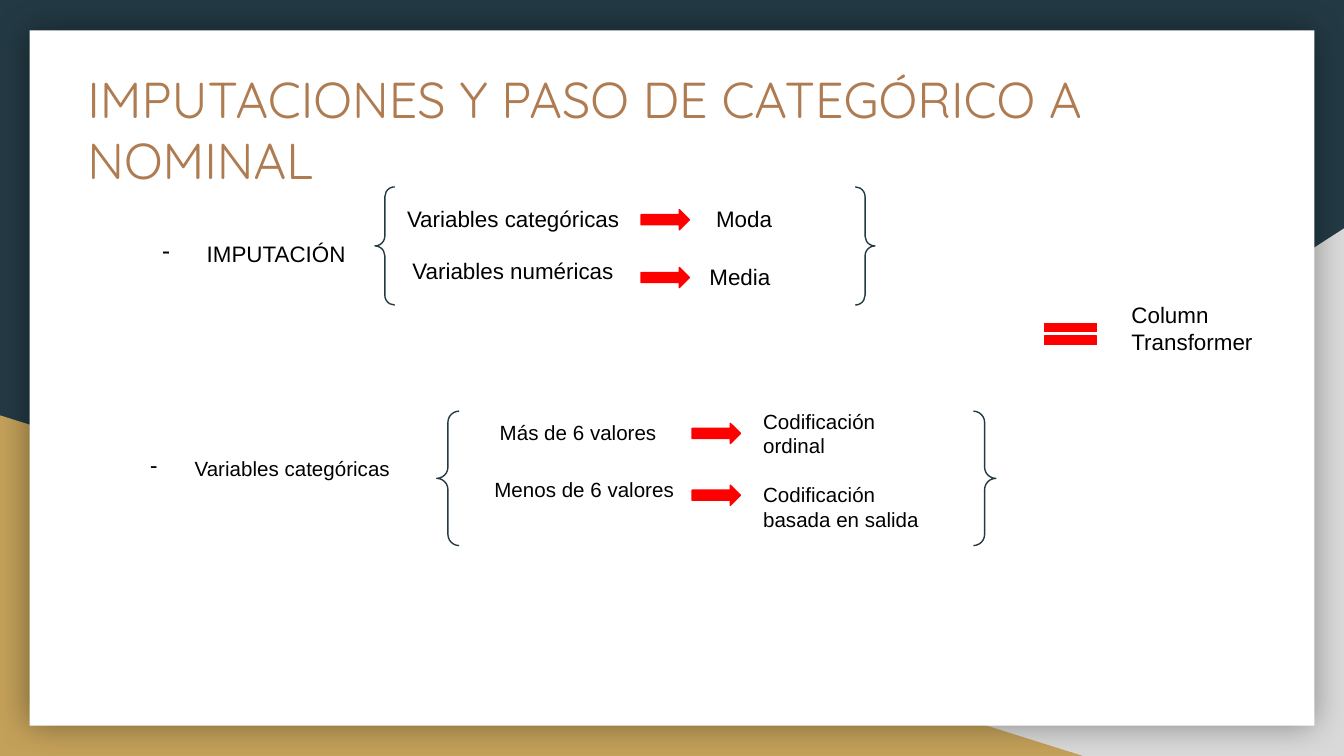
import pptx
import pptx.util
import pptx.dml.color
import pptx.enum.shapes
import pptx.enum.text
import pptx.oxml
import pptx.oxml.ns

SHAPE = pptx.enum.shapes.MSO_SHAPE
COLORS = {
    "navy": "233A44",
    "gold": "C4A15A",
    "grey": "D9D9D9",
    "white": "FFFFFF",
    "title": "AF7B51",
    "text": "000000",
    "red": "FF0000",
}
COLUMNS = 100
WIDTH = pptx.util.Inches(10)
HEIGHT = pptx.util.Inches(5.625)
UNIT = WIDTH // COLUMNS
SHADOW = """<a:effectLst %s><a:outerShdw blurRad="228600" dist="0" algn="ctr">
<a:srgbClr val="%s"><a:alpha val="40000"/></a:srgbClr></a:outerShdw></a:effectLst>"""


def rgb(name):
    return pptx.dml.color.RGBColor.from_string(COLORS[name])


def grid(*cells):
    return [round(cell * UNIT) for cell in cells]


def add_shape(slide, kind, box, fill=None, line=None):
    sp = slide.shapes.add_shape(kind, *grid(*box))
    sp.shadow.inherit = False
    if fill:
        sp.fill.solid()
        sp.fill.fore_color.rgb = rgb(fill)
    else:
        sp.fill.background()
    if line:
        sp.line.color.rgb = rgb(line)
        sp.line.width = pptx.util.Pt(0.75)
    else:
        sp.line.fill.background()
    return sp


def format_text(sp, text, size, font, color):
    tf = sp.text_frame
    tf.text = text
    tf.word_wrap = True
    tf.vertical_anchor = pptx.enum.text.MSO_ANCHOR.TOP
    tf.margin_left = tf.margin_right = tf.margin_top = tf.margin_bottom = UNIT
    p = tf.paragraphs[0]
    p.alignment = pptx.enum.text.PP_ALIGN.LEFT
    r = p.runs[0]
    r.font.size = pptx.util.Pt(size)
    r.font.name = font
    r.font.color.rgb = rgb(color)
    return p


def add_label(slide, text, size, box):
    sp = slide.shapes.add_textbox(*grid(*box))
    return format_text(sp, text, size, "Arial", "text")


def add_dash_label(slide, text, size, box):
    p = add_label(slide, text, size, box)
    pPr = p._p.get_or_add_pPr()
    margin, indent = grid(5, -3.3)
    pPr.set("marL", str(margin))
    pPr.set("indent", str(indent))
    bullet = pptx.oxml.parse_xml('<a:buChar %s char="-"/>' % pptx.oxml.ns.nsdecls("a"))
    pPr.append(bullet)


def add_arrow(slide, left, top):
    add_shape(slide, SHAPE.RIGHT_ARROW, (left, top, 3.6, 1.5), "red", "red")


def add_background(slide):
    slide.background.fill.solid()
    slide.background.fill.fore_color.rgb = rgb("navy")
    sp = add_shape(slide, SHAPE.RIGHT_TRIANGLE, (39.2, 17, 60.8, 39.25), "grey")
    sp._element.spPr.find(pptx.oxml.ns.qn("a:xfrm")).set("flipH", "1")
    add_shape(slide, SHAPE.RIGHT_TRIANGLE, (0, 30.9, 80.6, 25.35), "gold")
    sp = add_shape(slide, SHAPE.RECTANGLE, (2.2, 2.25, 95.6, 51.75), "white")
    spPr = sp._element.spPr
    spPr.remove(spPr.find(pptx.oxml.ns.qn("a:effectLst")))
    spPr.append(pptx.oxml.parse_xml(SHADOW % (pptx.oxml.ns.nsdecls("a"), COLORS["text"])))


def add_title(slide, text):
    sp = slide.shapes.title
    sp.left, sp.top, sp.width, sp.height = grid(5.5, 4.1, 82.1, 10.4)
    sp.text_frame.auto_size = pptx.enum.text.MSO_AUTO_SIZE.NONE
    format_text(sp, text, 27, "Quicksand", "title")
    slide.shapes._spTree.append(sp._element)


def add_group(slide, size, heading, braces, arrow_left, rows):
    add_dash_label(slide, heading[0], size, heading[1])
    add_shape(slide, SHAPE.DOUBLE_BRACE, braces, line="navy")
    for source, source_box, arrow_top, result, result_box in rows:
        add_label(slide, source, size, source_box)
        add_arrow(slide, arrow_left, arrow_top)
        add_label(slide, result, size, result_box)


def main():
    prs = pptx.Presentation()
    prs.slide_width, prs.slide_height = WIDTH, HEIGHT
    slide = prs.slides.add_slide(prs.slide_layouts[5])
    add_background(slide)
    add_title(slide, "IMPUTACIONES Y PASO DE CATEGÓRICO A NOMINAL")
    add_group(
        slide, 12, ("IMPUTACIÓN", (9.4, 16.9, 20.7, 4)), (27.9, 13.9, 37.2, 8.8), 47.7,
        [
            ("Variables categóricas", (29.3, 14.3, 19.5, 4), 15.6,
             "Moda", (52.3, 14.3, 6.2, 4)),
            ("Variables numéricas", (29.7, 18.1, 17.1, 4), 19.9,
             "Media", (51.8, 18.6, 7.2, 4)),
        ],
    )
    add_group(
        slide, 11, ("Variables categóricas", (8.5, 33, 23.6, 3.9)), (32.5, 30.6, 41.6, 10), 51.5,
        [
            ("Más de 6 valores", (36.2, 30.3, 14.7, 3.9), 31.5,
             "Codificación ordinal", (55.8, 29.4, 14.7, 5.7)),
            ("Menos de 6 valores", (35.8, 34.6, 16.2, 3.9), 36.1,
             "Codificación basada en salida", (55.8, 34.9, 14.7, 5.7)),
        ],
    )
    add_shape(slide, SHAPE.MATH_EQUAL, (77, 23.5, 5.3, 2.7), "red", "red")
    add_label(slide, "Column Transformer", 12, (83.2, 21.4, 16.2, 6.1))
    prs.save("out.pptx")


if __name__ == "__main__":
    main()
